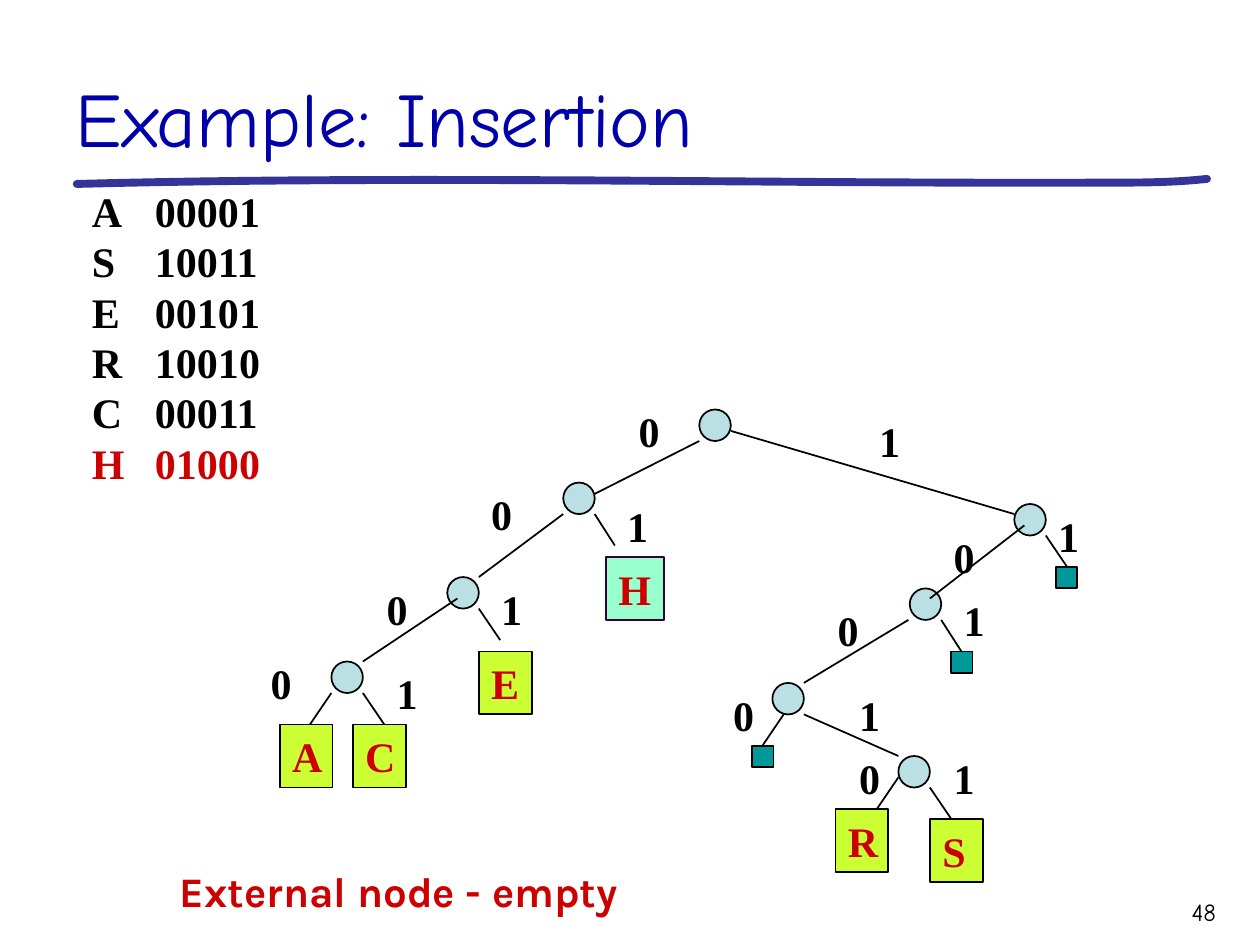
"""Build the slide that shows inserting H into a binary digital search trie."""
from typing import NamedTuple

from lxml.etree import SubElement
from pptx import Presentation
from pptx.dml.color import RGBColor
from pptx.enum.shapes import MSO_CONNECTOR, MSO_SHAPE
from pptx.enum.text import MSO_ANCHOR, MSO_AUTO_SIZE, PP_ALIGN
from pptx.oxml.ns import qn
from pptx.util import Inches, Pt

BLACK, RED, TITLE_BLUE, RULE_BLUE = "000000", "CC0000", "0000AA", "333399"
NODE_BLUE, EMPTY_TEAL, LEAF_LIME, NEW_MINT = "BBE0E3", "009999", "CCFF33", "99FFCC"
SERIF, HAND, SANS = "Times New Roman", "Comic Neue", "Karla"
NODE_SIZE, EMPTY_SIZE, LEAF_WIDTH, ROW_HEIGHT = 0.25, 0.17, 0.42, 0.5


class Point(NamedTuple):
    x: float
    y: float


class Leaf(NamedTuple):
    letter: str
    x: float
    y: float
    width: float = LEAF_WIDTH
    fill: str = LEAF_LIME
    outline: str = BLACK


class Edge(NamedTuple):
    start: Point
    end: Point
    bit: str
    label: Point


class Code(NamedTuple):
    letter: str
    bits: str
    color: str = BLACK


CODES = [Code("A", "00001"), Code("S", "10011"), Code("E", "00101"),
         Code("R", "10010"), Code("C", "00011"), Code("H", "01000", RED)]

NODES = [Point(5.55, 3.25), Point(4.47, 3.83), Point(3.55, 4.58), Point(2.63, 5.25),
         Point(8.05, 4), Point(7.22, 4.67), Point(6.13, 5.42), Point(7.13, 6)]

EMPTY_NODES = [Point(8.38, 4.5), Point(7.55, 5.17), Point(5.97, 5.92)]

LEAVES = [Leaf("A", 2.22, 5.75), Leaf("C", 2.8, 5.75), Leaf("E", 3.8, 5.17),
          Leaf("R", 6.63, 6.42), Leaf("S", 7.38, 6.5),
          Leaf("H", 4.81, 4.42, 0.46, NEW_MINT, "330033")]

EDGES = [
    Edge(Point(5.55, 3.5), Point(4.72, 3.92), "0", Point(4.97, 3.17)),
    Edge(Point(4.47, 4.08), Point(3.8, 4.58), "0", Point(3.8, 3.83)),
    Edge(Point(3.63, 4.75), Point(2.88, 5.25), "0", Point(2.97, 4.58)),
    Edge(Point(2.63, 5.5), Point(2.46, 5.75), "0", Point(2.05, 5.17)),
    Edge(Point(8.13, 4.17), Point(7.38, 4.75), "0", Point(7.47, 4.17)),
    Edge(Point(7.21, 4.92), Point(6.38, 5.42), "0", Point(6.55, 4.75)),
    Edge(Point(6.22, 5.67), Point(6.05, 5.92), "0", Point(5.72, 5.42)),
    Edge(Point(7.13, 6.17), Point(6.96, 6.42), "0", Point(6.72, 5.92)),
    Edge(Point(5.8, 3.42), Point(8.05, 4.08), "1", Point(6.88, 3.25)),
    Edge(Point(4.72, 4.08), Point(4.88, 4.33), "1", Point(4.88, 3.92)),
    Edge(Point(3.8, 4.83), Point(3.97, 5.08), "1", Point(3.88, 4.58)),
    Edge(Point(2.88, 5.5), Point(3.05, 5.75), "1", Point(3.05, 5.25)),
    Edge(Point(8.3, 4.25), Point(8.47, 4.5), "1", Point(8.3, 4)),
    Edge(Point(7.47, 4.92), Point(7.63, 5.17), "1", Point(7.55, 4.67)),
    Edge(Point(6.38, 5.67), Point(7.13, 6), "1", Point(6.72, 5.42)),
    Edge(Point(7.38, 6.25), Point(7.55, 6.5), "1", Point(7.47, 5.92)),
]

RULE_CURVES = [
    (Point(0.61, 1.46), Point(3.33, 1.39), Point(6.05, 1.46), Point(8.76, 1.45)),
    (Point(8.76, 1.45), Point(9.04, 1.45), Point(9.31, 1.45), Point(9.58, 1.42)),
]


def paint(color_format, color: str) -> None:
    color_format.rgb = RGBColor.from_string(color)


def move(shape, left: float, top: float, width: float, height: float) -> None:
    shape.left, shape.top = Inches(left), Inches(top)
    shape.width, shape.height = Inches(width), Inches(height)


def add_run(paragraph, text: str, size: float, color: str, font: str = SERIF, bold: bool = True) -> None:
    run = paragraph.add_run()
    run.text = text
    run.font.size, run.font.name, run.font.bold = Pt(size), font, bold
    paint(run.font.color, color)


def write(shape, text: str, color: str, size: float = 24, font: str = SERIF, bold: bool = True,
          align=PP_ALIGN.LEFT) -> None:
    frame = shape.text_frame
    frame.word_wrap = True
    frame.vertical_anchor = MSO_ANCHOR.TOP
    if len(text) == 1:
        frame.margin_right = 0
    paragraph = frame.paragraphs[0]
    paragraph.alignment = align
    if font == SERIF:
        paragraph.line_spacing = Pt(28.8)
    add_run(paragraph, text, size, color, font, bold)


def add_label(slide, text: str, left: float, top: float, width: float, height: float, **style) -> None:
    box = slide.shapes.add_textbox(Inches(left), Inches(top), Inches(width), Inches(height))
    write(box, text, **style)


def add_node(slide, kind, at: Point, width: float, height: float, fill: str, outline: str = BLACK):
    shape = slide.shapes.add_shape(kind, Inches(at.x), Inches(at.y), Inches(width), Inches(height))
    shape.shadow.inherit = False
    shape.fill.solid()
    paint(shape.fill.fore_color, fill)
    paint(shape.line.color, outline)
    shape.line.width = Pt(1)
    return shape


def add_edge(slide, edge: Edge) -> None:
    line = slide.shapes.add_connector(MSO_CONNECTOR.STRAIGHT, Inches(edge.start.x), Inches(edge.start.y),
                                      Inches(edge.end.x), Inches(edge.end.y))
    paint(line.line.color, BLACK)
    line.line.width = Pt(1)
    SubElement(line.element.spPr, qn("a:effectLst"))


def curve_points(curve: tuple[Point, ...], steps: int = 24) -> list[tuple[int, int]]:
    points = []
    for step in range(steps + 1):
        t = step / steps
        weights = ((1 - t) ** 3, 3 * t * (1 - t) ** 2, 3 * t ** 2 * (1 - t), t ** 3)
        points.append((Inches(sum(w * p.x for w, p in zip(weights, curve))),
                       Inches(sum(w * p.y for w, p in zip(weights, curve)))))
    return points


def add_rule(slide) -> None:
    start, *rest = [point for curve in RULE_CURVES for point in curve_points(curve)]
    builder = slide.shapes.build_freeform(*start)
    builder.add_line_segments(rest, close=False)
    rule = builder.convert_to_shape()
    rule.shadow.inherit = False
    rule.fill.background()
    paint(rule.line.color, RULE_BLUE)
    rule.line.width = Pt(4.5)
    rule.element.spPr.find(qn("a:ln")).set("cap", "rnd")


def fill_title(title) -> None:
    move(title, 0.5, 0.17, 9.25, 1.17)
    write(title, "Example: Insertion", TITLE_BLUE, 44, HAND, False)
    title.text_frame.vertical_anchor = MSO_ANCHOR.BOTTOM


def fill_codes(body) -> None:
    move(body, 0.63, 1.42, 2.03, 2.5)
    frame = body.text_frame
    frame.auto_size = MSO_AUTO_SIZE.NONE
    for index, code in enumerate(CODES):
        paragraph = frame.add_paragraph() if index else frame.paragraphs[0]
        properties = paragraph._p.get_or_add_pPr()
        properties.set("marL", "0")
        properties.set("indent", "0")
        SubElement(properties, qn("a:buNone"))
        tabs = SubElement(properties, qn("a:tabLst"))
        SubElement(tabs, qn("a:tab"), pos=str(Inches(1)), algn="l")
        paragraph.space_before = Pt(0)
        paragraph.line_spacing = Pt(28.8)
        add_run(paragraph, f"{code.letter}\t{code.bits}", 24, code.color)


def main() -> None:
    presentation = Presentation()
    presentation.slide_width, presentation.slide_height = Inches(10), Inches(7.5)
    slide = presentation.slides.add_slide(presentation.slide_layouts[1])
    add_rule(slide)
    fill_title(slide.shapes.title)
    fill_codes(slide.placeholders[1])
    add_label(slide, "48", 8.75, 7.07, 1, 0.35, color=BLACK, size=14, font=HAND, bold=False,
              align=PP_ALIGN.RIGHT)
    for node in NODES:
        add_node(slide, MSO_SHAPE.OVAL, node, NODE_SIZE, NODE_SIZE, NODE_BLUE)
    for edge in EDGES:
        add_edge(slide, edge)
        add_label(slide, edge.bit, *edge.label, 0.36, ROW_HEIGHT, color=BLACK)
    for node in EMPTY_NODES:
        add_node(slide, MSO_SHAPE.RECTANGLE, node, EMPTY_SIZE, EMPTY_SIZE, EMPTY_TEAL)
    for leaf in LEAVES:
        box = add_node(slide, MSO_SHAPE.RECTANGLE, Point(leaf.x, leaf.y), leaf.width, ROW_HEIGHT,
                       leaf.fill, leaf.outline)
        write(box, leaf.letter, RED)
    add_label(slide, "External node - empty", 1.33, 6.82, 3.86, ROW_HEIGHT, color=RED, font=SANS)
    presentation.save("out.pptx")


if __name__ == "__main__":
    main()
